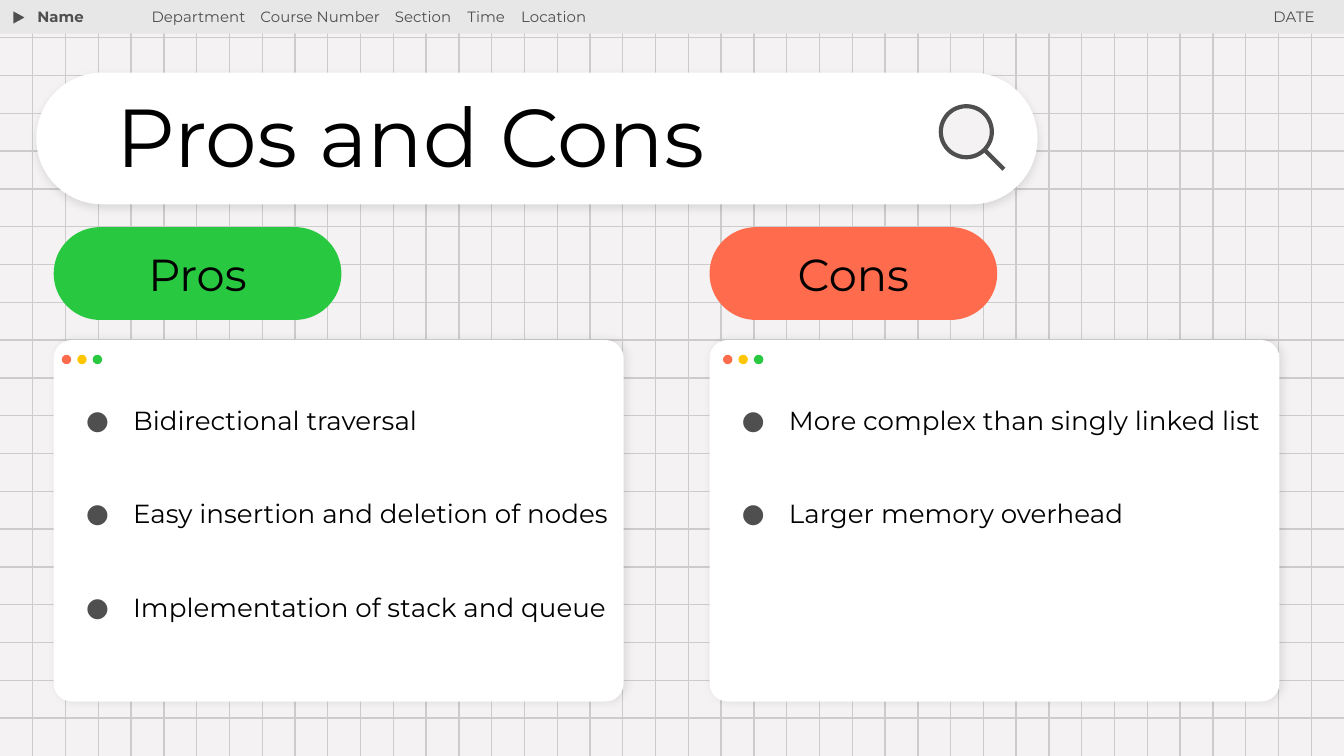
from dataclasses import dataclass

import lxml.etree
import pptx
import pptx.dml.color
import pptx.enum.shapes
import pptx.enum.text
import pptx.oxml.ns
import pptx.util

Inches = pptx.util.Inches
Pt = pptx.util.Pt
Shape = pptx.enum.shapes.MSO_SHAPE
Align = pptx.enum.text.PP_ALIGN
Anchor = pptx.enum.text.MSO_ANCHOR
qn = pptx.oxml.ns.qn


@dataclass(frozen=True)
class Theme:
    font: str = "Montserrat"
    page: str = "F4F2F2"
    grid: str = "CCCCCC"
    bar: str = "E7E7E7"
    dark: str = "4F4F4F"
    black: str = "000000"
    white: str = "FFFFFF"
    red: str = "FF6B4D"
    yellow: str = "FFC600"
    green: str = "28C840"
    title_size: int = 44
    heading_size: int = 24
    list_size: int = 14
    header_size: int = 8


@dataclass(frozen=True)
class Area:
    left: float
    top: float
    width: float
    height: float

    def lengths(self):
        return [Inches(n) for n in (self.left, self.top, self.width, self.height)]


@dataclass(frozen=True)
class Panel:
    heading: str
    colour: str
    left: float
    dots_left: float
    points: tuple[str, ...]


THEME = Theme()
WIDTH, HEIGHT = 10, 10 * 9 / 16
COLUMNS, ROWS = 41, 20
PANELS = (
    Panel("Pros", THEME.green, 0.4, 0.46, (
        "Bidirectional traversal",
        "Easy insertion and deletion of nodes",
        "Implementation of stack and queue",
    )),
    Panel("Cons", THEME.red, 5.28, 5.38, (
        "More complex than singly linked list",
        "Larger memory overhead",
    )),
)
HEADER_FIELDS = ("Department", "Course Number", "Section", "Time", "Location")
HEADER_STOPS = (0.81, 1.81, 2.35, 2.75)


def rgb(colour: str):
    return pptx.dml.color.RGBColor.from_string(colour)


def add_element(parent, tag: str, **attributes: str):
    return lxml.etree.SubElement(parent, qn(tag), attributes)


def add_block(shapes, kind, area: Area, fill: str, line: str | None = None, weight: float = 0.75):
    block = shapes.add_shape(kind, *area.lengths())
    block.fill.solid()
    block.fill.fore_color.rgb = rgb(fill)
    if line:
        block.line.color.rgb = rgb(line)
        block.line.width = Pt(weight)
    else:
        block.line.fill.background()
    block.shadow.inherit = False
    return block


def add_rounded(shapes, area: Area, fill: str, corner: float):
    block = add_block(shapes, Shape.ROUNDED_RECTANGLE, area, fill)
    block.adjustments[0] = corner
    return block


def add_soft_shadow(block, degrees: int) -> None:
    effects = block.element.spPr.find(qn("a:effectLst"))
    shadow = add_element(effects, "a:outerShdw", blurRad=str(Pt(4.5)), dist=str(Pt(1.5)),
                         dir=str(degrees * 60000), algn="bl", rotWithShape="0")
    colour = add_element(shadow, "a:srgbClr", val=THEME.black)
    add_element(colour, "a:alpha", val="10000")


def add_line(shapes, start: tuple[float, float], end: tuple[float, float],
             colour: str, weight: float) -> None:
    line = shapes.add_connector(pptx.enum.shapes.MSO_CONNECTOR.STRAIGHT,
                                *[Inches(n) for n in (*start, *end)])
    line.line.color.rgb = rgb(colour)
    line.line.width = Pt(weight)
    add_element(line.element.spPr, "a:effectLst")


def set_frame(box, anchor=Anchor.TOP) -> None:
    frame = box.text_frame
    frame.word_wrap = True
    frame.auto_size = pptx.enum.text.MSO_AUTO_SIZE.NONE
    frame.vertical_anchor = anchor
    frame.margin_left = frame.margin_right = Inches(0.1)
    frame.margin_top = frame.margin_bottom = Inches(0.1)


def set_para(para, text: str, size: int, colour: str, align=Align.LEFT, bold: bool = False) -> None:
    para.text = text
    para.alignment = align
    para.font.name = THEME.font
    para.font.size = Pt(size)
    para.font.bold = bold
    para.font.color.rgb = rgb(colour)


def place(placeholder, area: Area) -> None:
    """Move a placeholder to its area and in front of what is drawn so far."""
    placeholder.left, placeholder.top, placeholder.width, placeholder.height = area.lengths()
    placeholder.element.getparent().append(placeholder.element)
    set_frame(placeholder)


def draw_grid(shapes) -> None:
    grid = shapes.add_group_shape().shapes
    for row in range(1, ROWS):
        y = row * HEIGHT / ROWS
        add_line(grid, (0, y), (WIDTH, y), THEME.grid, 0.75)
    for column in range(1, COLUMNS):
        x = column * WIDTH / COLUMNS
        add_line(grid, (x, 0), (x, HEIGHT), THEME.grid, 0.75)


def add_header_text(shapes, left: float, width: float, text: str, align=Align.LEFT, bold=False):
    box = shapes.add_textbox(*Area(left, -0.04, width, 0.47).lengths())
    set_frame(box)
    para = box.text_frame.paragraphs[0]
    set_para(para, text, THEME.header_size, THEME.dark, align, bold)
    return para


def draw_header(shapes) -> None:
    add_block(shapes, Shape.RECTANGLE, Area(0, 0, WIDTH, 0.25), THEME.bar)
    marker = add_block(shapes, Shape.ISOSCELES_TRIANGLE, Area(0.09, 0.08, 0.11, 0.1),
                       THEME.dark, THEME.bar)
    marker.rotation = 90
    add_header_text(shapes, 0.18, 1.28, "Name", bold=True)
    fields = add_header_text(shapes, 1.03, 4.17, "\t".join(HEADER_FIELDS))
    properties = fields._p.get_or_add_pPr()
    stops = lxml.etree.Element(qn("a:tabLst"))
    for stop in HEADER_STOPS:
        add_element(stops, "a:tab", pos=str(Inches(stop)), algn="l")
    properties.insert(0, stops)
    add_header_text(shapes, 8.21, 1.67, "DATE", Align.RIGHT)


def draw_title(shapes, title) -> None:
    bar = add_rounded(shapes, Area(0.27, 0.54, 7.45, 0.98), THEME.white, 0.5)
    add_soft_shadow(bar, 90)
    lens = shapes.add_group_shape().shapes
    add_block(lens, Shape.OVAL, Area(7, 0.79, 0.38, 0.38), THEME.page, THEME.dark, 2.25)
    add_line(lens, (7.32, 1.11), (7.47, 1.26), THEME.dark, 2.25)
    place(title, Area(0.77, 0.62, 6.38, 0.87))
    para = title.text_frame.paragraphs[0]
    para.line_spacing = 0.9
    set_para(para, "Pros and Cons", THEME.title_size, THEME.black)


def fill_list(body, points: tuple[str, ...]) -> None:
    frame = body.text_frame
    for index, point in enumerate(points):
        para = frame.add_paragraph() if index else frame.paragraphs[0]
        para.line_spacing = 1.5
        para.space_before = Pt(0)
        para.space_after = Pt(25)
        properties = para._p.get_or_add_pPr()
        properties.set("marL", str(Inches(0.5)))
        properties.set("indent", str(Inches(-0.35)))
        bullet_colour = add_element(properties, "a:buClr")
        add_element(bullet_colour, "a:srgbClr", val=THEME.dark)
        add_element(properties, "a:buFont", typeface=THEME.font)
        add_element(properties, "a:buChar", char="●")
        set_para(para, point, THEME.list_size, THEME.black)


def draw_panel(shapes, panel: Panel, body) -> None:
    card = add_rounded(shapes, Area(panel.left, 2.53, 4.24, 2.69), THEME.white, 0.05)
    add_soft_shadow(card, 0)
    dots = shapes.add_group_shape().shapes
    for index, colour in enumerate((THEME.red, THEME.yellow, THEME.green)):
        add_block(dots, Shape.OVAL, Area(panel.dots_left + index * 0.115, 2.64, 0.07, 0.07), colour)
    place(body, Area(panel.left - 0.01, 2.79, 4.26, 2.2))
    fill_list(body, panel.points)
    pill = add_rounded(shapes, Area(panel.left, 1.69, 2.14, 0.69), panel.colour, 0.5)
    set_frame(pill, Anchor.MIDDLE)
    set_para(pill.text_frame.paragraphs[0], panel.heading, THEME.heading_size, THEME.black, Align.CENTER)


def main() -> None:
    deck = pptx.Presentation()
    deck.slide_width, deck.slide_height = Inches(WIDTH), Inches(HEIGHT)
    slide = deck.slides.add_slide(deck.slide_layouts.get_by_name("Two Content"))
    slide.background.fill.solid()
    slide.background.fill.fore_color.rgb = rgb(THEME.page)
    title, *bodies = slide.placeholders
    draw_grid(slide.shapes)
    draw_header(slide.shapes)
    draw_title(slide.shapes, title)
    for panel, body in zip(PANELS, bodies):
        draw_panel(slide.shapes, panel, body)
    deck.save("out.pptx")


if __name__ == "__main__":
    main()
